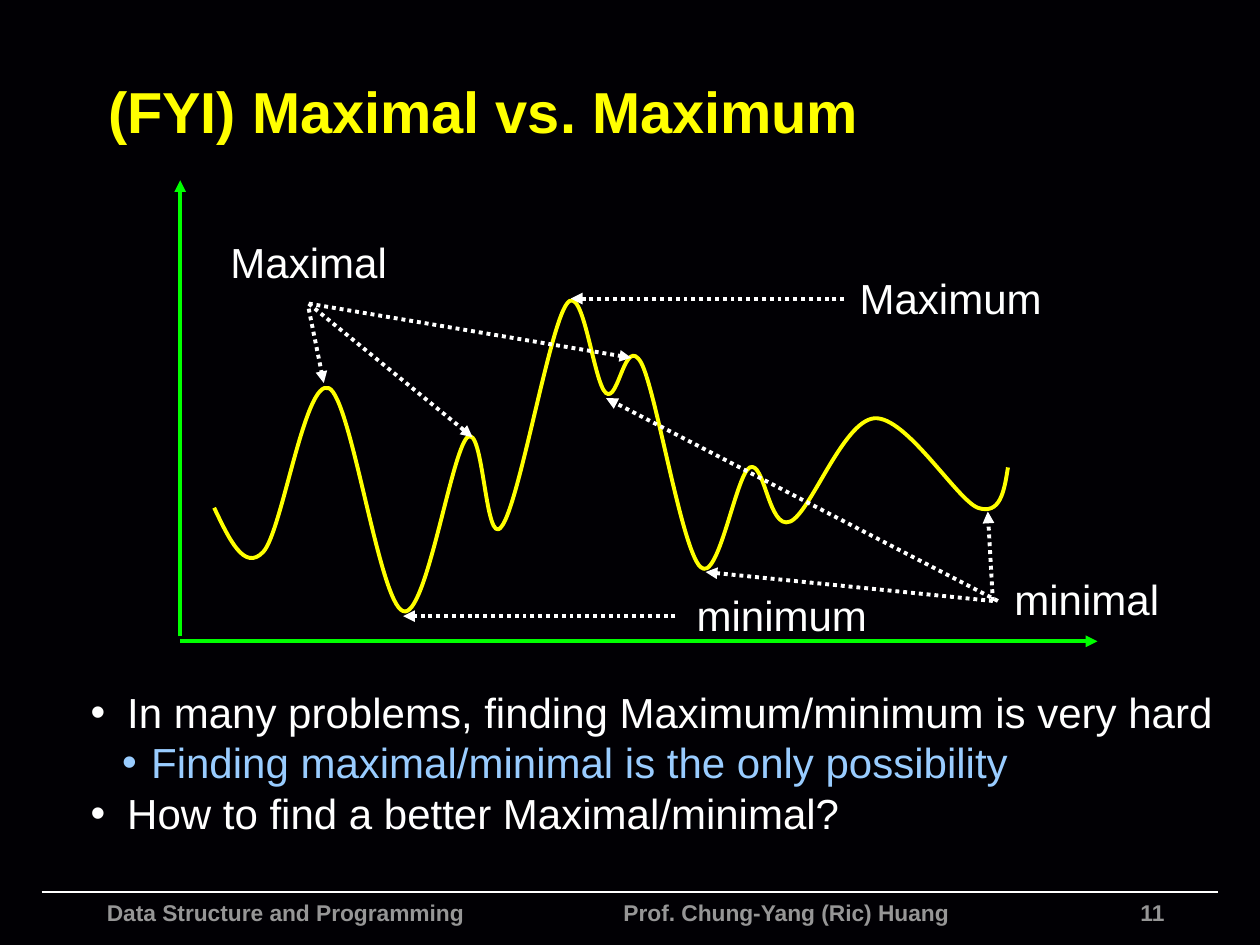
import dataclasses

import lxml.etree
import pptx
import pptx.dml.color
import pptx.enum.dml
import pptx.enum.shapes
import pptx.enum.text
import pptx.oxml.ns
import pptx.util

UNIT = 0.1  # inches in one grid column or row: the page is 100 by 75
ALIGN = pptx.enum.text.PP_ALIGN


@dataclasses.dataclass(frozen=True)
class Theme:
    font: str = "Arial"
    back: str = "010004"
    accent: str = "FFFF00"
    axis: str = "00FF00"
    text: str = "FFFFFF"
    detail: str = "99CCFF"
    muted: str = "969696"
    title_size: int = 33
    body_size: int = 24
    footer_size: int = 13
    stroke: float = 2.25
    rule: float = 1


@dataclasses.dataclass(frozen=True)
class Box:
    left: float
    top: float
    width: float
    height: float

    def point(self, col, row):
        return grid(self.left + col), grid(self.top + row)

    def inner(self, col, row, width, height):
        return Box(self.left + col, self.top + row, width, height)


THEME = Theme()

# Bezier points of the curve: a start, then two controls and an end per piece
CURVE = [
    (2.7, 26),
    (3.9, 28.5), (5.1, 31.1), (6.6, 29.5),
    (8.1, 27.9), (9.9, 15.7), (11.8, 16.5),
    (13.6, 17.3), (15.8, 33.6), (17.7, 34.2),
    (19.5, 34.9), (21.5, 21.6), (22.8, 20.4),
    (24.1, 19.3), (24.2, 29.3), (25.5, 27.5),
    (26.9, 25.8), (29.3, 11.6), (30.7, 9.8),
    (32, 8), (32.8, 16.1), (33.8, 16.9),
    (34.8, 17.7), (35.3, 12.2), (36.6, 14.5),
    (37.8, 16.8), (39.8, 29.3), (41.3, 30.7),
    (42.7, 32.1), (44.1, 23.4), (45.2, 22.8),
    (46.4, 22.2), (46.7, 27.8), (48.4, 27.1),
    (50, 26.5), (52.6, 19.1), (55.1, 18.9),
    (57.6, 18.7), (61.6, 25.3), (63.3, 26),
    (65.1, 26.6), (65.4, 24.7), (65.7, 22.8),
]

# Label, its (column, row, width), and its arrows as (from, to)
CALLOUTS = [
    ("Maximum", (53.3, 6.8, 15.7), [((52.7, 9.4), (31, 9.4))]),
    ("minimum", (40.4, 32, 14.7), [((39.3, 34.6), (17.7, 34.6))]),
    ("Maximal", (3.4, 4, 13.6), [((10.2, 10.2), (11.4, 16.1)),
                                 ((10.2, 9.8), (23.2, 20.4)),
                                 ((10.2, 9.8), (35.8, 14.1))]),
    ("minimal", (65.6, 30.7, 12.7), [((64.5, 33.4), (41.7, 31.1)),
                                     ((64.9, 33.4), (33.8, 17.3)),
                                     ((64.5, 33.4), (64.1, 26.3))]),
]

# Text, colour, left margin and hanging indent
POINTS = [
    ("In many problems, finding Maximum/minimum is very hard", THEME.text, 2.9, 2.9),
    ("Finding maximal/minimal is the only possibility", THEME.detail, 4.8, 2.3),
    ("How to find a better Maximal/minimal?", THEME.text, 2.9, 2.9),
]


def grid(count):
    return pptx.util.Inches(count * UNIT)


def colour(code):
    return pptx.dml.color.RGBColor.from_string(code)


def add_child(parent, tag, **values):
    return lxml.etree.SubElement(parent, pptx.oxml.ns.qn(tag), values)


def add_frame(page, box, side=0.5, wrap=True):
    shape = page.shapes.add_textbox(*box.point(0, 0), grid(box.width), grid(box.height))
    frame = shape.text_frame
    frame.word_wrap = wrap
    if not wrap:
        frame.auto_size = pptx.enum.text.MSO_AUTO_SIZE.SHAPE_TO_FIT_TEXT
    frame.margin_left = frame.margin_right = grid(side)
    frame.margin_top = frame.margin_bottom = grid(0.5)
    return frame


def add_span(para, text, size, code, bold=False):
    span = para.add_run()
    span.text = text
    span.font.name = THEME.font
    span.font.size = pptx.util.Pt(size)
    span.font.bold = bold
    span.font.color.rgb = colour(code)


def add_line(page, start, end, code, width=THEME.stroke, arrow=True, dotted=False):
    line = page.shapes.add_connector(pptx.enum.shapes.MSO_CONNECTOR.STRAIGHT, *start, *end)
    line.line.color.rgb = colour(code)
    line.line.width = pptx.util.Pt(width)
    if dotted:
        line.line.dash_style = pptx.enum.dml.MSO_LINE.ROUND_DOT
    properties = line._element.spPr
    if arrow:
        add_child(properties.get_or_add_ln(), "a:tailEnd", type="triangle")
    add_child(properties, "a:effectLst")


def add_title(page, box):
    frame = add_frame(page, box, side=1)
    frame.vertical_anchor = pptx.enum.text.MSO_ANCHOR.MIDDLE
    add_span(frame.paragraphs[0], "(FYI) Maximal vs. Maximum",
             THEME.title_size, THEME.accent, bold=True)


def add_curve(page, box):
    first, *rest = [box.point(*pair) for pair in CURVE]
    builder = page.shapes.build_freeform(*first, scale=1.0)
    builder.add_line_segments(rest, close=False)
    curve = builder.convert_to_shape()
    curve.shadow.inherit = False
    curve.fill.background()
    curve.line.color.rgb = colour(THEME.accent)
    curve.line.width = pptx.util.Pt(THEME.stroke)
    # Turn every three straight steps into one Bezier piece
    steps = curve._element.xpath(".//a:lnTo")
    for index in range(0, len(steps), 3):
        piece = add_child(steps[index].getparent(), "a:cubicBezTo")
        for step in steps[index:index + 3]:
            piece.append(step[0])
            step.getparent().remove(step)


def add_plot(page, box):
    # Axes
    corner = box.point(0, box.height)
    add_line(page, box.point(0, box.height - 0.4), box.point(0, 0), THEME.axis)
    add_line(page, corner, box.point(box.width, box.height), THEME.axis)
    add_curve(page, box)
    # Labels and their arrows
    for label, (col, row, width), arrows in CALLOUTS:
        for start, end in arrows:
            add_line(page, box.point(*start), box.point(*end), THEME.text, dotted=True)
        para = add_frame(page, box.inner(col, row, width, 5), wrap=False).paragraphs[0]
        para.alignment = ALIGN.CENTER
        add_span(para, label, THEME.body_size, THEME.text)


def add_points(page, box):
    frame = add_frame(page, box)
    for index, (text, code, margin, hang) in enumerate(POINTS):
        para = frame.add_paragraph() if index else frame.paragraphs[0]
        settings = para._p.get_or_add_pPr()
        settings.set("marL", str(grid(margin)))
        settings.set("indent", str(-grid(hang)))
        add_child(settings, "a:buFont", typeface=THEME.font)
        add_child(settings, "a:buChar", char="•")
        add_span(para, text, THEME.body_size, code)


def add_footer(page, box):
    add_line(page, box.point(0, 0), box.point(box.width, 0), THEME.text, THEME.rule, arrow=False)
    # Course and lecturer, parted by a tab stop
    para = add_frame(page, box.inner(4.2, 0, 72.4, box.height), side=1).paragraphs[0]
    stops = add_child(para._p.get_or_add_pPr(), "a:tabLst")
    add_child(stops, "a:tab", pos=str(grid(41)), algn="l")
    add_span(para, "Data Structure and Programming\tProf. Chung-Yang (Ric) Huang",
             THEME.footer_size, THEME.muted, bold=True)
    # Page number
    para = add_frame(page, box.inner(80, 0, 10.1, box.height), side=1).paragraphs[0]
    para.alignment = ALIGN.RIGHT
    add_span(para, "11", THEME.footer_size, THEME.muted, bold=True)


def main():
    deck = pptx.Presentation()
    deck.slide_width, deck.slide_height = grid(100), grid(75)
    page = deck.slides.add_slide(deck.slide_layouts[6])
    page.background.fill.solid()
    page.background.fill.fore_color.rgb = colour(THEME.back)
    add_footer(page, Box(3.3, 70.8, 93.4, 4.2))
    add_title(page, Box(7.6, 3.7, 88.4, 10.1))
    add_plot(page, Box(14.3, 14.3, 72.8, 36.6))
    add_points(page, Box(6.7, 54, 91.7, 13))
    deck.save("out.pptx")


if __name__ == "__main__":
    main()
